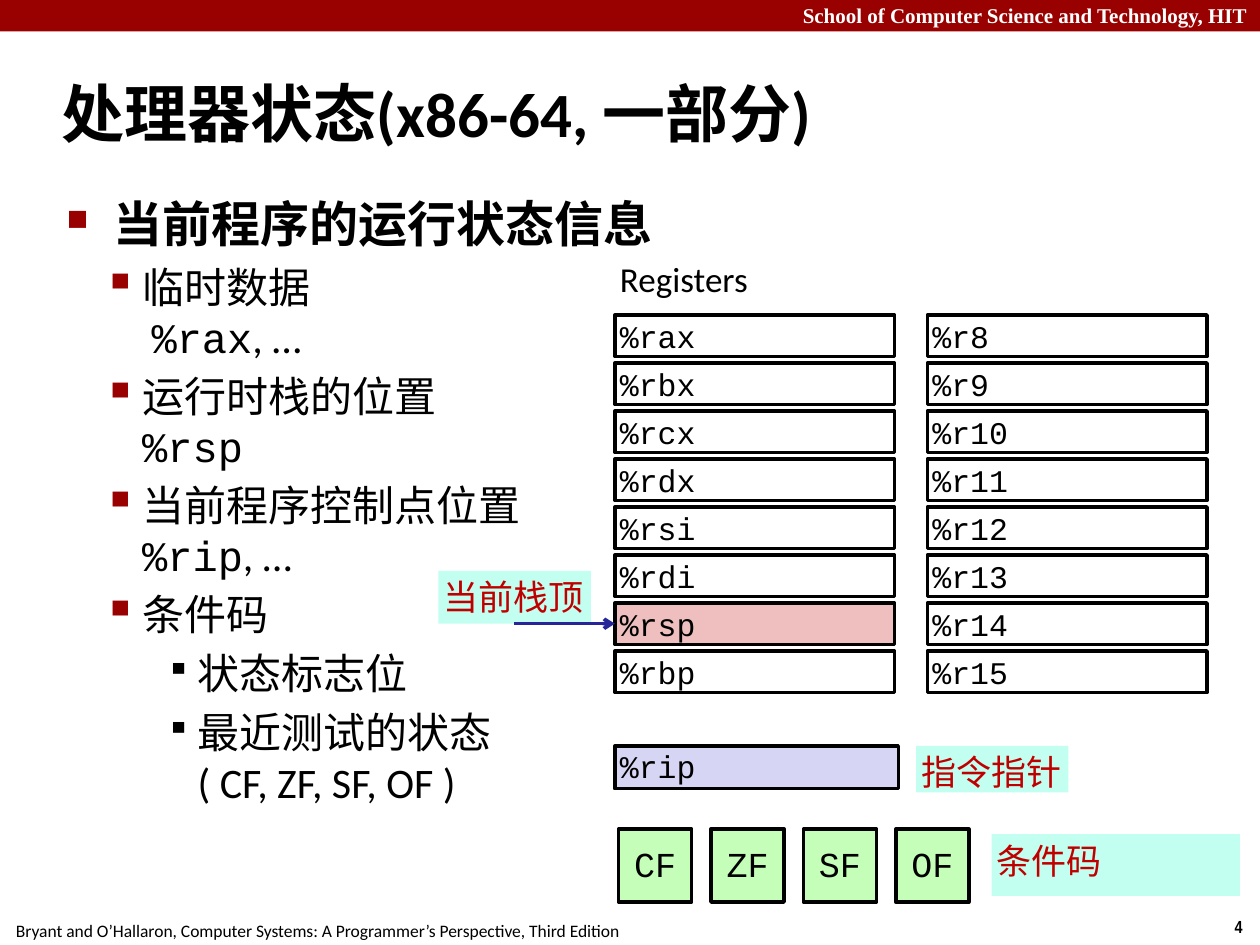
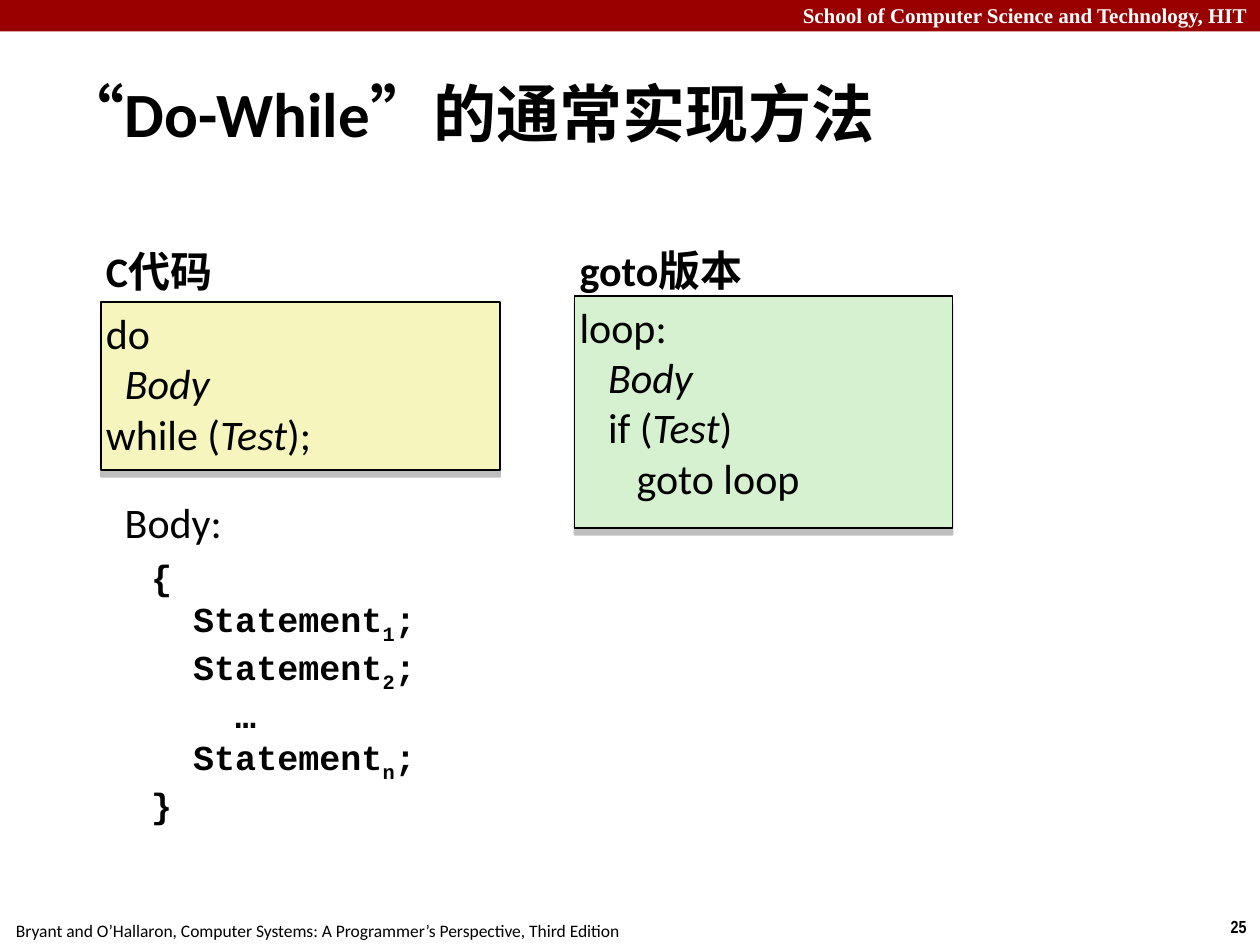
import lxml.etree
import pptx
import pptx.dml.color
import pptx.enum.shapes
import pptx.enum.text
import pptx.oxml.ns
import pptx.util

COLS, ROWS = 100, 75
CELL = pptx.util.Inches(0.1)
BLACK, WHITE, CRIMSON = "000000", "FFFFFF", "990000"
RED, MINT, NAVY = "C00000", "C2FFF0", "262699"
GREEN, LILAC, PINK = "C5FEB8", "D6D6F4", "EFBFBF"
MONO = "Courier New"
ALIGN = pptx.enum.text.PP_ALIGN
ANCHOR = pptx.enum.text.MSO_ANCHOR

BASE = {"name": "Calibri", "size": 24, "bold": False, "color": BLACK}
TITLE = {"size": 36, "bold": True}
REGISTER = {"name": MONO, "size": 18}
FLAG = {"name": MONO, "size": 20}
LABEL = {"size": 20, "color": RED}
HEADING = {"bold": True}
ITALIC = {"italic": True}
CODE = {"name": MONO}
LEVELS = [
    {"margin": 3.75, "hang": 3.75, "char": "■", "scale": 60, "color": CRIMSON},
    {"margin": 6, "hang": 3.1, "char": "▪", "scale": 110, "color": CRIMSON},
    {"margin": 10.4, "hang": 2.5, "char": "▪", "scale": 80, "color": BLACK},
]
STATE_POINTS = [
    (0, [("当前程序的运行状态信息", {"size": 28, "bold": True})]),
    (1, ["临时数据\n ", ("%rax", CODE), ", …"]),
    (1, ["运行时栈的位置\n", ("%rsp", CODE)]),
    (1, ["当前程序控制点位置\n", ("%rip", CODE), ", …"]),
    (1, ["条件码"]),
    (2, ["状态标志位"]),
    (2, ["最近测试的状态\n( CF, ZF, SF, OF )"]),
]
REGISTERS = [
    ["%rax", "%rbx", "%rcx", "%rdx", "%rsi", "%rdi", "%rsp", "%rbp"],
    ["%r8", "%r9", "%r10", "%r11", "%r12", "%r13", "%r14", "%r15"],
]


def rgb(value):
    """Turn a hex string into a colour."""
    return pptx.dml.color.RGBColor.from_string(value)


def cells(*counts):
    """Turn grid counts into lengths."""
    return [round(count * CELL) for count in counts]


def add_xml(parent, tag, **attributes):
    """Append a drawing element with attributes to a parent."""
    el = lxml.etree.SubElement(parent, pptx.oxml.ns.qn(tag))
    for key, value in attributes.items():
        el.set(key, str(value))
    return el


def set_format(r, formats):
    """Apply a dict of format values to a run."""
    values = {**BASE, **formats}
    r.font.color.rgb = rgb(values.pop("color"))
    baseline = values.pop("baseline", None)
    if baseline:
        r._r.get_or_add_rPr().set("baseline", str(baseline))
    values["size"] = pptx.util.Pt(values["size"])
    for key, value in values.items():
        setattr(r.font, key, value)


def add_runs(p, runs, formats):
    """Fill a paragraph with runs, breaking lines at newlines."""
    for item in [runs] if isinstance(runs, str) else runs:
        text, extra = (item, {}) if isinstance(item, str) else item
        for i, line in enumerate(text.split("\n")):
            if i:
                p.add_line_break()
            if line:
                r = p.add_run()
                r.text = line
                set_format(r, {**formats, **extra})


def write(sp, paragraphs, formats, align=ALIGN.LEFT, anchor=ANCHOR.TOP,
          inset=0.4, wrap=True, spacing=None):
    """Write paragraphs into a shape and return its text frame."""
    tf = sp.text_frame
    frame = {"word_wrap": wrap, "vertical_anchor": anchor,
             "auto_size": pptx.enum.text.MSO_AUTO_SIZE.NONE}
    if inset is not None:
        sides = ("margin_left", "margin_top", "margin_right", "margin_bottom")
        frame.update(dict.fromkeys(sides, cells(inset)[0]))
    for key, value in frame.items():
        setattr(tf, key, value)
    for i, runs in enumerate(paragraphs):
        p = tf.add_paragraph() if i else tf.paragraphs[0]
        p.alignment = align
        p.line_spacing = spacing
        add_runs(p, runs, formats)
    return tf


def add_text(s, at, paragraphs, formats, **layout):
    """Add a text box on the grid."""
    return write(s.shapes.add_textbox(*cells(*at)), paragraphs, formats, **layout)


def add_box(s, at, paragraphs=(), formats=BASE, fill=None, line=None, **layout):
    """Add a rectangle with optional fill, outline width and text."""
    sp = s.shapes.add_shape(pptx.enum.shapes.MSO_SHAPE.RECTANGLE, *cells(*at))
    sp.shadow.inherit = False
    if fill:
        sp.fill.solid()
        sp.fill.fore_color.rgb = rgb(fill)
    else:
        sp.fill.background()
    if line:
        sp.line.color.rgb = rgb(BLACK)
        sp.line.width = pptx.util.Pt(line)
    else:
        sp.line.fill.background()
    write(sp, paragraphs, formats, **layout)
    return sp


def add_code(s, at, lines, fill):
    """Add a code panel with a flat shadow below it."""
    sp = add_box(s, at, lines, BASE, fill, 1)
    effects = sp._element.spPr.find(pptx.oxml.ns.qn("a:effectLst"))
    shadow = add_xml(effects, "a:outerShdw", blurRad=0, dist=pptx.util.Pt(4),
                     dir=90 * 60000, rotWithShape=0)
    add_xml(add_xml(shadow, "a:srgbClr", val="808080"), "a:alpha", val=50000)


def add_arrow(s, start, end):
    """Add an arrow between two grid points."""
    sp = s.shapes.add_connector(pptx.enum.shapes.MSO_CONNECTOR.STRAIGHT,
                                *cells(*start, *end))
    sp.line.color.rgb = rgb(NAVY)
    sp.line.width = pptx.util.Pt(2)
    add_xml(sp.line._get_or_add_ln(), "a:tailEnd", type="arrow")
    add_xml(sp._element.spPr, "a:effectLst")


def set_indent(p, margin, hang):
    """Set the left margin and hanging indent of a paragraph."""
    pPr = p._p.get_or_add_pPr()
    left, back = cells(margin, hang)
    pPr.set("marL", str(left))
    pPr.set("indent", str(-back))
    return pPr


def add_bullets(s, at, points):
    """Add a text box of bulleted points on several levels."""
    tf = add_text(s, at, [runs for _, runs in points], BASE, inset=None)
    for i, (p, (level, _)) in enumerate(zip(tf.paragraphs, points)):
        look = LEVELS[level]
        if i:
            p.space_before = pptx.util.Pt(BASE["size"] * 0.2)
        pPr = set_indent(p, look["margin"], look["hang"])
        add_xml(add_xml(pPr, "a:buClr"), "a:srgbClr", val=look["color"])
        add_xml(pPr, "a:buSzPct", val=look["scale"] * 1000)
        add_xml(pPr, "a:buChar", char=look["char"])


def add_slide(prs, title, number):
    """Add a slide with its title, top band, footer and number."""
    s = prs.slides.add_slide(prs.slide_layouts[5])
    sp = s.shapes.title
    sp.left, sp.top, sp.width, sp.height = cells(3.9, 4.8, 96.1, 8.3)
    tf = write(sp, [title], TITLE, anchor=ANCHOR.MIDDLE, inset=None)
    set_indent(tf.paragraphs[0], 1.3, 1.3)
    add_box(s, (0, 0, COLS, 2.5), fill=CRIMSON)
    add_text(s, (0, -0.3, COLS, 3), ["School of Computer Science and Technology, HIT"],
             {"name": "Times New Roman", "size": 12, "bold": True, "color": WHITE},
             align=ALIGN.RIGHT, inset=None)
    small = {"align": ALIGN.CENTER, "inset": None, "wrap": False}
    add_text(s, (96.6, 72.2, 3.4, 2.7), [str(number)],
             {"name": "Arial Narrow", "size": 10, "bold": True}, **small)
    add_text(s, (-0.2, 72.5, 50.8, 2.7),
             ["Bryant and O’Hallaron, Computer Systems: "
              "A Programmer’s Perspective, Third Edition"], {"size": 10}, **small)
    return s


def build_state(prs):
    """Build the slide on processor state."""
    s = add_slide(prs, "处理器状态(x86-64, 一部分)", 4)
    add_bullets(s, (4.3, 14.9, 94, 57.6), STATE_POINTS)
    add_text(s, (48.8, 20, 11.2, 4.2), ["Registers"], {"size": 20}, wrap=False)
    for col, names in enumerate(REGISTERS):
        for row, name in enumerate(names):
            add_box(s, (48.8 + 24.8 * col, 25 + 3.81 * row, 22.2, 3.3), [name],
                    REGISTER, PINK if name == "%rsp" else None, 2,
                    anchor=ANCHOR.MIDDLE)
    add_box(s, (48.8, 59.2, 22.5, 3.4), ["%rip"], REGISTER, LILAC, 2,
            anchor=ANCHOR.MIDDLE, spacing=0.95)
    for i, flag in enumerate(["CF", "ZF", "SF", "OF"]):
        add_box(s, (49.1 + 7.33 * i, 65.8, 5.8, 5.8), [flag], FLAG, GREEN, 2,
                align=ALIGN.CENTER, anchor=ANCHOR.MIDDLE, spacing=0.95)
    for label, at in [("指令指针", (72.7, 59.2, 12.1, 3.7)),
                      ("条件码", (78.7, 66.2, 19.7, 4.9)),
                      ("当前栈顶", (34.8, 45.3, 12.1, 4.2))]:
        add_box(s, at, [label], LABEL, MINT)
    add_arrow(s, (40.8, 49.5), (48.8, 49.5))


def build_do_while(prs):
    """Build the slide on translating do-while loops."""
    s = add_slide(prs, "“Do-While”的通常实现方法", 25)
    add_text(s, (8, 19.1, 28.6, 4.9), ["C代码"], HEADING)
    add_code(s, (8, 24, 31.7, 13.3),
             ["do", ["  ", ("Body", ITALIC)], ["while (", ("Test", ITALIC), ");"]],
             "F6F5BD")
    add_text(s, (45.6, 19, 25.3, 4.9), ["goto版本"], HEADING)
    add_code(s, (45.6, 23.5, 30, 18.4),
             ["loop:", ["   ", ("Body", ITALIC)],
              ["   if (", ("Test", ITALIC), ")"], "      goto loop"], "D5F1CF")
    add_text(s, (9.5, 39, 28.6, 4.9), ["Body:"], BASE)
    first, second, last = [["  Statement", (mark, {"baseline": -25000}), ";"]
                           for mark in "12n"]
    add_text(s, (11.6, 43.7, 24.3, 24.7),
             ["{", first, second, "    …", last, "}"],
             {"name": MONO, "size": 20, "bold": True})


def main():
    """Build and save the presentation."""
    prs = pptx.Presentation()
    prs.slide_width, prs.slide_height = cells(COLS, ROWS)
    build_state(prs)
    build_do_while(prs)
    prs.save("out.pptx")


if __name__ == "__main__":
    main()
